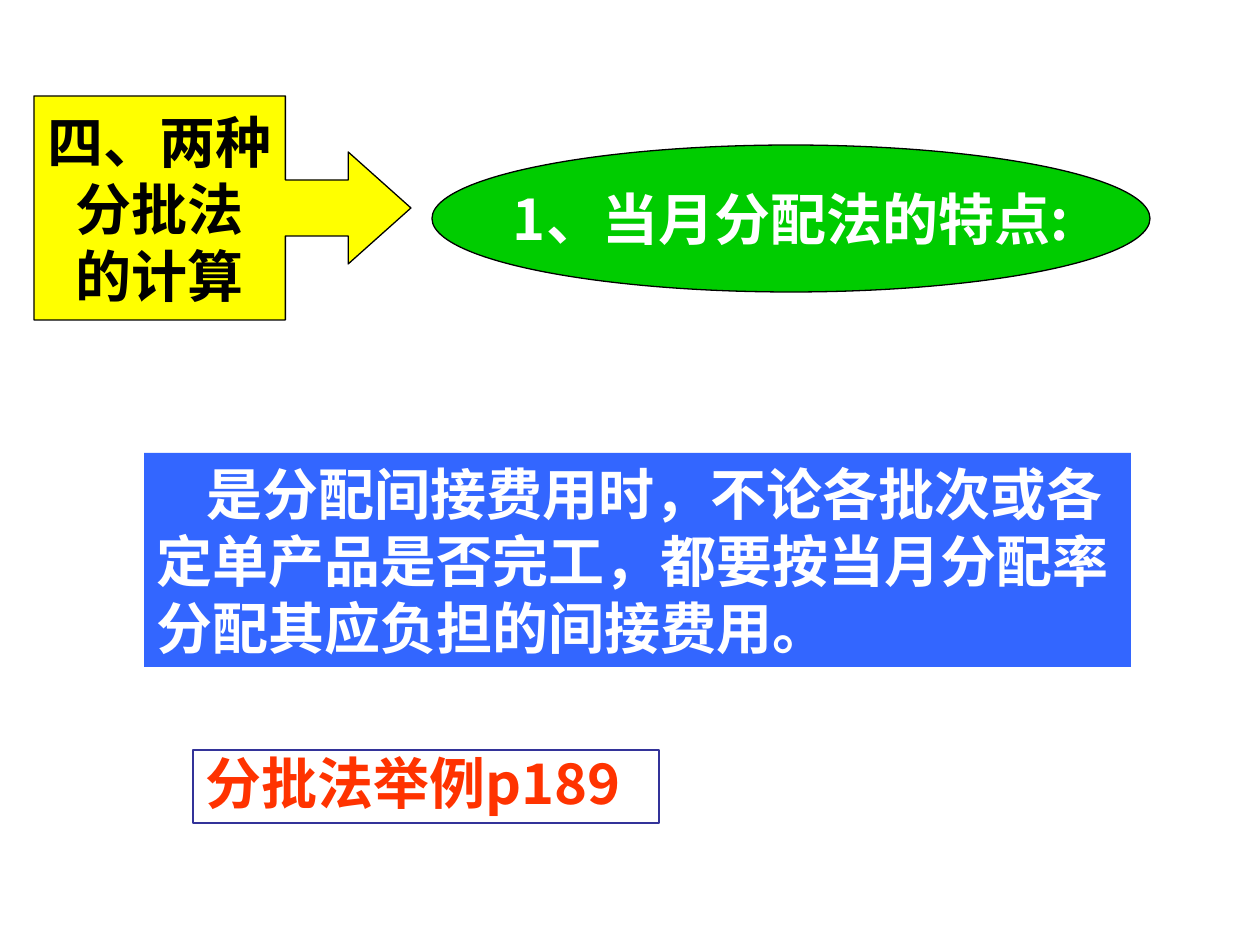
from pptx import Presentation
from pptx.dml.color import RGBColor
from pptx.enum.shapes import MSO_SHAPE
from pptx.enum.text import MSO_ANCHOR, PP_ALIGN
from pptx.util import Emu, Inches, Pt

SANS = "Noto Sans CJK SC"
SERIF = "Times New Roman"


def px(length):
    """Turn pixels, 126 to the inch, into EMU."""
    return Emu(round(length * 914400 / 126))


def color(value):
    """Turn a hex string into a colour."""
    return RGBColor.from_string(value)


def add_box(slide, kind, bounds, fill=None, line=None):
    """Add a preset shape with an optional fill and outline."""
    shape = slide.shapes.add_shape(kind, *map(px, bounds))
    shape.shadow.inherit = False
    if fill:
        shape.fill.solid()
        shape.fill.fore_color.rgb = color(fill)
    else:
        shape.fill.background()
    if line:
        shape.line.color.rgb = color(line)
        shape.line.width = Pt(0.75)
    else:
        shape.line.fill.background()
    return shape


def write(shape, lines, text_color, font_name=SANS, centred=False, wrap=True):
    """Write bold paragraphs, centred in the shape or from its top left."""
    frame = shape.text_frame
    frame.word_wrap = wrap
    frame.vertical_anchor = MSO_ANCHOR.MIDDLE if centred else MSO_ANCHOR.TOP
    frame.text = "\n".join(lines)
    for paragraph in frame.paragraphs:
        paragraph.alignment = PP_ALIGN.CENTER if centred else PP_ALIGN.LEFT
        paragraph.font.name = font_name
        paragraph.font.size = Pt(32)
        paragraph.font.bold = True
        paragraph.font.color.rgb = color(text_color)
    return frame.paragraphs[0]


def main():
    """Build the slide and save it."""
    presentation = Presentation()
    presentation.slide_width, presentation.slide_height = Inches(10), Inches(7.5)
    slide = presentation.slides.add_slide(presentation.slide_layouts[6])

    heading = add_box(slide, MSO_SHAPE.OVAL, (432, 145, 718, 147), "00CC00", "000000")
    write(heading, ["1、当月分配法的特点:"], "FFFFFF", centred=True, wrap=False)

    definition = add_box(slide, MSO_SHAPE.RECTANGLE, (144, 453, 987, 214), "3366FF")
    paragraph = write(
        definition,
        ["是分配间接费用时，不论各批次或各定单产品是否完工，都要按当月分配率分配其应负担的间接费用。"],
        "FFFFFF",
    )
    paragraph._p.get_or_add_pPr().set("indent", str(px(50)))

    topic = add_box(slide, MSO_SHAPE.RIGHT_ARROW_CALLOUT, (34, 96, 377, 224), "FFFF00", "000000")
    for index, value in enumerate((0.25, 0.25, 0.28, 0.667)):
        topic.adjustments[index] = value
    write(topic, ["四、两种", "分批法", "的计算"], "000000", SERIF, centred=True, wrap=False)

    example = add_box(slide, MSO_SHAPE.RECTANGLE, (193, 750, 466, 73), line="333399")
    write(example, ["分批法举例p189"], "FF3300").line_spacing = 0.9

    presentation.save("out.pptx")


if __name__ == "__main__":
    main()
